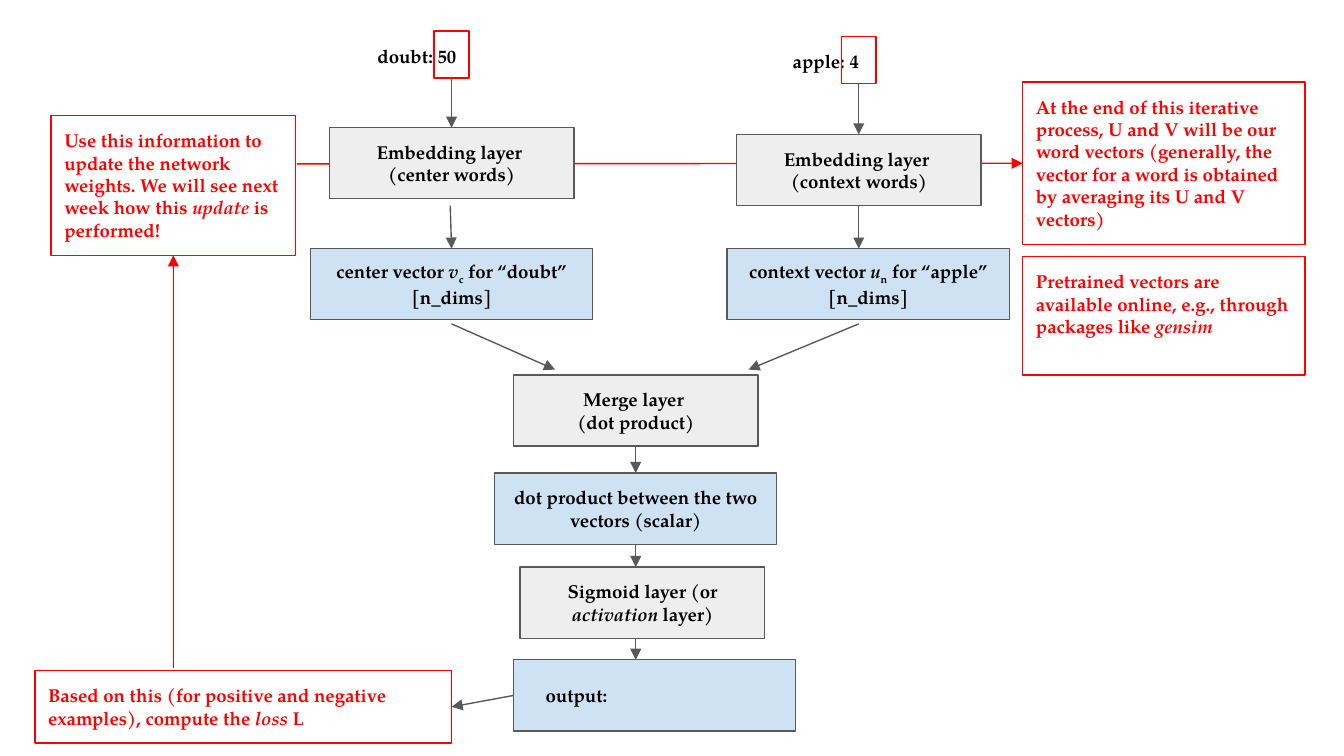
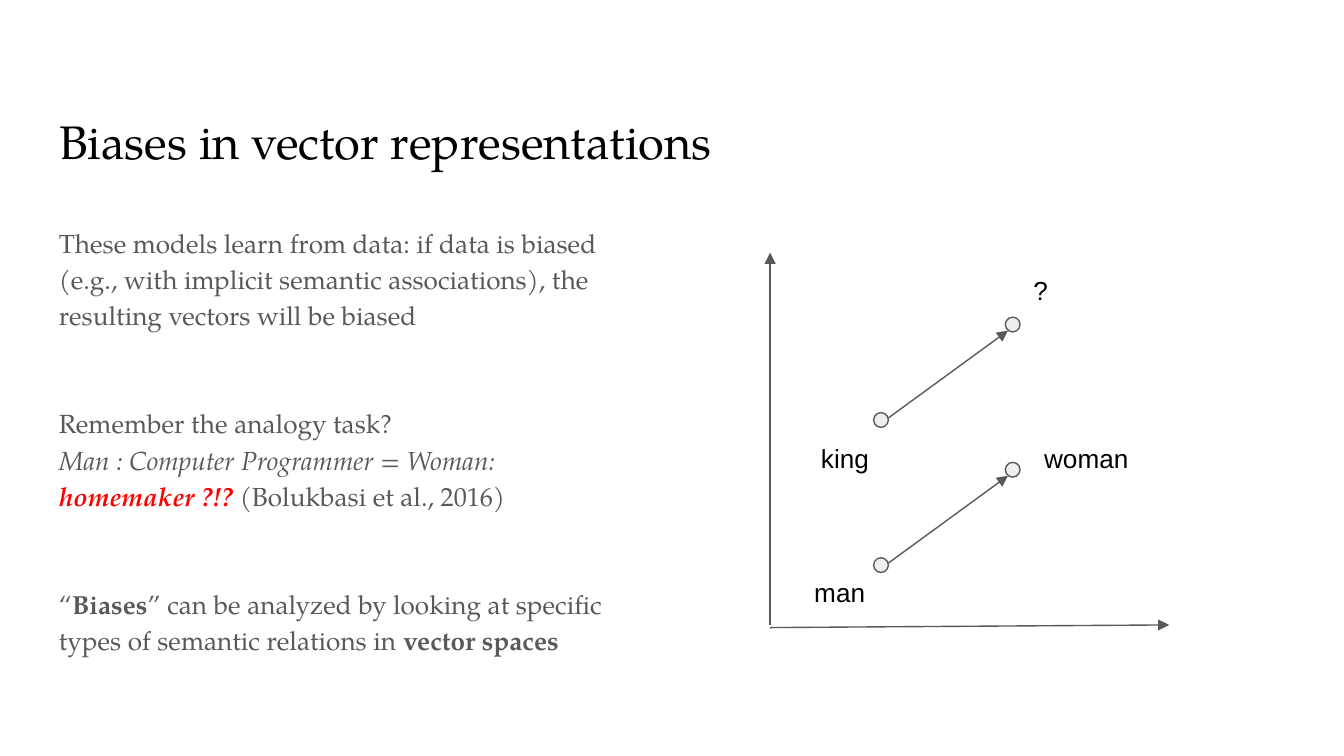
import pptx
import pptx.util
import pptx.dml.color
import pptx.enum.shapes
import pptx.enum.text
import pptx.oxml
import pptx.oxml.ns

Inches = pptx.util.Inches
Pt = pptx.util.Pt
RGBColor = pptx.dml.color.RGBColor
SHAPE = pptx.enum.shapes.MSO_SHAPE
ALIGN = pptx.enum.text.PP_ALIGN
ANCHOR = pptx.enum.text.MSO_ANCHOR

# Shared look
BLACK = RGBColor(0x00, 0x00, 0x00)
RED = RGBColor(0xFF, 0x00, 0x00)
GREY = RGBColor(0x59, 0x59, 0x59)
LAYER_FILL = RGBColor(0xEE, 0xEE, 0xEE)
VECTOR_FILL = RGBColor(0xCF, 0xE2, 0xF3)
SERIF = "TeX Gyre Pagella"
SANS = "Arial"
LINE_WIDTH = Pt(0.75)
TOP, LEFT, BOTTOM, RIGHT = range(4)

# Text is a list of paragraphs; a paragraph is a list of (text, marks).
# Marks: b bold, i italic, s subscript, r red.

# Slide 1: the network
WORDS = [  # name, text, label place, frame place
    ("center id", "doubt: 50", (2.71, 0.23), (3.23, 0.23)),
    ("context id", "apple: 4", (5.8, 0.27), (6.26, 0.27)),
]
LAYER_SIZE = (1.82, 0.53)
LAYERS = [
    ("center layer", (2.45, 0.95),
     [[("Embedding layer ", "b")], [("(center words)", "b")]]),
    ("context layer", (5.48, 1),
     [[("Embedding layer ", "b")], [("(context words)", "b")]]),
    ("merge", (3.82, 2.79),
     [[("Merge layer ", "b")], [("(dot product)", "b")]]),
    ("sigmoid", (3.87, 4.22),
     [[("Sigmoid layer (or ", "b"), ("activation", "bi"), (" layer)", "b")]]),
]
VECTOR_SIZE = (2.1, 0.53)
VECTORS = [
    ("center vector", (2.31, 1.85),
     [[("center vector ", "b"), ("v", "bi"), ("c", "bs"),
       (" for “doubt” [n_dims]", "b")]]),
    ("context vector", (5.41, 1.85),
     [[("context vector ", "b"), ("u", "bi"), ("n", "bs"),
       (" for “apple” [n_dims]", "b")]]),
    ("dot product", (3.68, 3.52),
     [[("dot product between the two vectors (scalar)", "b")]]),
    ("output", (3.82, 4.91), [[("output:", "b")]]),
]
NOTES = [
    ("update", (0.38, 0.86, 1.82, 1.04),
     [[("Use this information to update the network weights. "
        "We will see next week how this ", "b"),
       ("update", "bi"), (" is performed!", "b")]]),
    ("result", (7.61, 0.61, 2.1, 1.21),
     [[("At the end of this iterative process, U and V will be our word "
        "vectors (generally, the vector for a word is obtained by averaging "
        "its U and V vectors)", "b")]]),
    ("pretrained", (7.61, 1.91, 2.1, 0.88),
     [[("Pretrained vectors are available online, e.g., through packages "
        "like ", "b"), ("gensim", "bi")]]),
    ("loss", (0.26, 4.99, 3.1, 0.54),
     [[("Based on this (for positive and negative examples), compute the ",
        "b"), ("loss ", "bi"), ("L", "b")]]),
]
# An arrow end is a point (x, y) or a (box name, side).
RESULT_ARROW = ((2.21, 1.22), ("result", LEFT))
LOSS_ARROW = ((1.29, 4.97), ("update", BOTTOM))
FLOW_ARROWS = [
    (("center id", BOTTOM), ("center layer", TOP)),
    (("context id", BOTTOM), ("context layer", TOP)),
    ((3.35, 1.53), ("center vector", TOP)),
    ((6.39, 1.53), (6.39, 1.85)),
    ((3.36, 2.41), (4.13, 2.75)),
    ((6.39, 2.41), (5.57, 2.75)),
    (("merge", BOTTOM), ("dot product", TOP)),
    (("dot product", BOTTOM), (4.73, 4.22)),
    ((4.73, 4.75), (4.73, 4.91)),
    (("output", LEFT), ("loss", RIGHT)),
]

# Slide 2: biases
TITLE = [[("Biases in vector representations", "")]]
BODY = [
    [("These models learn from data: if data is biased (e.g., with implicit "
      "semantic associations), the resulting vectors will be biased", "")],
    [("Remember the analogy task?", "")],
    [("Man : Computer Programmer = Woman: ", "i"), ("homemaker ?!? ", "bir"),
     ("(Bolukbasi et al., 2016)", "")],
    [("“", ""), ("Biases", "b"),
     ("” can be analyzed by looking at specific types of semantic "
      "relations in ", ""), ("vector spaces", "b")],
]
SECTION_STARTS = (1, 3)
SECTION_GAP = Pt(38.6)
AXES = [((5.73, 4.65), (5.73, 1.88)), ((5.73, 4.67), (8.7, 4.65))]
DOT = 0.11
POINTS = [  # word, dot place, label box
    ("man", (6.5, 4.15), (5.96, 4.19, 0.75, 0.44)),
    ("woman", (7.48, 3.44), (7.67, 3.19, 0.89, 0.44)),
    ("king", (6.5, 3.07), (6.01, 3.19, 0.65, 0.44)),
    ("?", (7.48, 2.36), (7.59, 1.94, 0.65, 0.44)),
]
RELATIONS = [("man", "woman"), ("king", "?")]


def write(shape, paragraphs, size, color=BLACK, font=SERIF,
          align=ALIGN.LEFT, anchor=ANCHOR.TOP):
    frame = shape.text_frame
    frame.word_wrap = True
    frame.auto_size = pptx.enum.text.MSO_AUTO_SIZE.NONE
    frame.vertical_anchor = anchor
    frame.margin_left = frame.margin_right = Inches(0.1)
    frame.margin_top = frame.margin_bottom = Inches(0.1)
    for index, spans in enumerate(paragraphs):
        para = frame.add_paragraph() if index else frame.paragraphs[0]
        para.alignment = align
        for text, marks in spans:
            span = para.add_run()
            span.text = text
            span.font.name = font
            span.font.size = Pt(size)
            span.font.bold = "b" in marks
            span.font.italic = "i" in marks
            span.font.color.rgb = RED if "r" in marks else color
            if "s" in marks:
                span.font._element.set("baseline", "-25000")
    return frame


def add_text(page, place, paragraphs, size, **style):
    box = page.shapes.add_textbox(*map(Inches, place))
    return write(box, paragraphs, size, **style)


def add_box(page, place, line, fill=None, kind=SHAPE.RECTANGLE):
    box = page.shapes.add_shape(kind, *map(Inches, place))
    box.shadow.inherit = False
    if fill is None:
        box.fill.background()
    else:
        box.fill.solid()
        box.fill.fore_color.rgb = fill
    box.line.color.rgb = line
    box.line.width = LINE_WIDTH
    return box


def add_arrow(page, start, end, color, boxes=None):
    free = [(0, 0) if isinstance(spot[0], str) else spot
            for spot in (start, end)]
    arrow = page.shapes.add_connector(
        pptx.enum.shapes.MSO_CONNECTOR.STRAIGHT,
        *map(Inches, free[0] + free[1]))
    for spot, join in ((start, arrow.begin_connect), (end, arrow.end_connect)):
        if isinstance(spot[0], str):
            join(boxes[spot[0]], spot[1])
    arrow.line.color.rgb = color
    arrow.line.width = LINE_WIDTH
    head = pptx.oxml.parse_xml(
        '<a:tailEnd %s type="triangle"/>' % pptx.oxml.ns.nsdecls("a"))
    arrow.line._get_or_add_ln().append(head)
    arrow._element.spPr.append(pptx.oxml.parse_xml(
        "<a:effectLst %s/>" % pptx.oxml.ns.nsdecls("a")))


def build_network(deck):
    page = deck.slides.add_slide(deck.slide_layouts[6])
    boxes = {}

    # Red notes, and the line that runs behind the embedding layers
    for name, place, text in NOTES:
        boxes[name] = add_box(page, place, RED)
        write(boxes[name], text, 10, RED)
    add_arrow(page, *RESULT_ARROW, RED, boxes)

    # Input words with framed ids
    for name, text, label, frame in WORDS:
        add_text(page, label + (0.85, 0.35), [[(text, "b")]], 10)
        boxes[name] = add_box(page, frame + (0.26, 0.35), RED)

    # Layers and the vectors between them
    for group, size, fill in ((LAYERS, LAYER_SIZE, LAYER_FILL),
                              (VECTORS, VECTOR_SIZE, VECTOR_FILL)):
        for name, corner, text in group:
            boxes[name] = add_box(page, corner + size, GREY, fill)
            write(boxes[name], text, 10, align=ALIGN.CENTER,
                  anchor=ANCHOR.MIDDLE)
    output = boxes["output"].text_frame
    output.paragraphs[0].alignment = ALIGN.LEFT
    output.margin_left = Inches(0.24)

    # Arrows
    for start, end in FLOW_ARROWS:
        add_arrow(page, start, end, GREY, boxes)
    add_arrow(page, *LOSS_ARROW, RED, boxes)


def build_biases(deck):
    page = deck.slides.add_slide(deck.slide_layouts[5])

    # Title and body
    title = page.shapes.title
    title.left, title.top, title.width, title.height = map(
        Inches, (0.34, 0.74, 9.32, 0.63))
    write(title, TITLE, 25.2)
    body = add_text(page, (0.34, 1.56, 4.66, 3.66), BODY, 14, color=GREY)
    for index, para in enumerate(body.paragraphs):
        para.line_spacing = 1.15
        if index in SECTION_STARTS:
            para.space_before = SECTION_GAP

    # Vector space
    for start, end in AXES:
        add_arrow(page, start, end, GREY)
    dots = {}
    for word, corner, label in POINTS:
        dots[word] = corner
        add_box(page, corner + (DOT, DOT), GREY, LAYER_FILL, SHAPE.OVAL)
        add_text(page, label, [[(word, "")]], 14, font=SANS)
    for source, target in RELATIONS:
        (x1, y1), (x2, y2) = dots[source], dots[target]
        add_arrow(page, (x1 + DOT, y1 + 0.04), (x2 + 0.02, y2 + 0.1), GREY)


def main():
    deck = pptx.Presentation()
    deck.slide_width = Inches(10)
    deck.slide_height = deck.slide_width * 9 // 16
    build_network(deck)
    build_biases(deck)
    deck.save("out.pptx")


if __name__ == "__main__":
    main()
